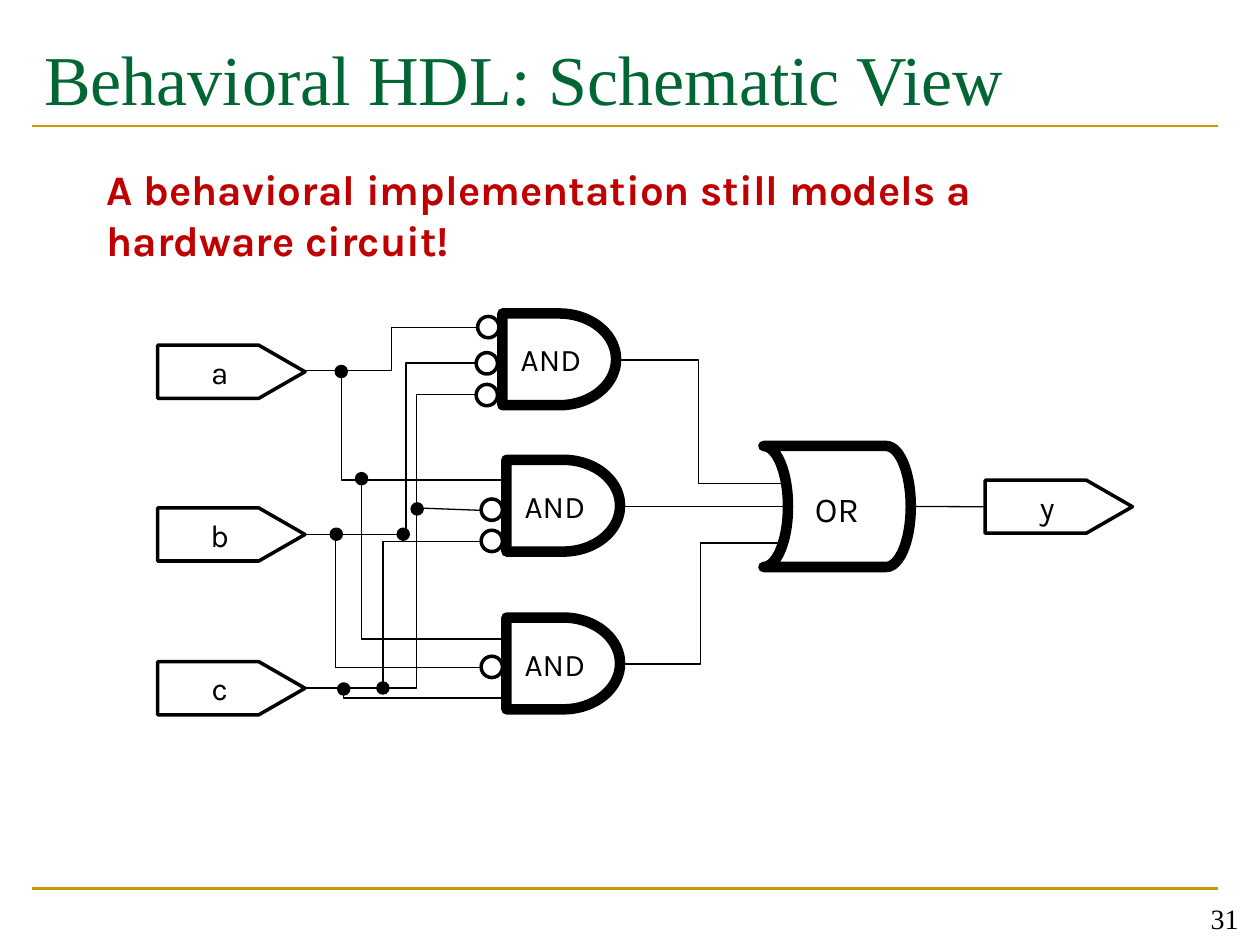
from lxml.etree import SubElement
from pptx import Presentation
from pptx.dml.color import RGBColor
from pptx.enum.shapes import MSO_CONNECTOR as Link, MSO_SHAPE as Shape
from pptx.enum.text import MSO_ANCHOR as Anchor, PP_ALIGN as Align
from pptx.oxml.ns import qn
from pptx.util import Cm, Pt

BLACK, WHITE, GOLD, GREEN, RED = "000000", "FFFFFF", "CC9900", "006633", "C00000"
SERIF, SANS = "Times New Roman", "Karla"


def colour(value):
    return RGBColor.from_string(value)


class Schematic:
    """Holds the drawing style and the current slide."""

    def __init__(self, page):
        self.page = page
        self.shapes = page.shapes

    def set_text(self, frame, words, size, font=SANS, ink=BLACK, bold=False, align=Align.LEFT):
        para = frame.paragraphs[0]
        para.text = words
        para.alignment = align
        para.font.name, para.font.size, para.font.bold = font, Pt(size), bold
        para.font.color.rgb = colour(ink)

    def text(self, left, top, width, height, words, size, anchor=Anchor.TOP, **style):
        box = self.shapes.add_textbox(Cm(left), Cm(top), Cm(width), Cm(height))
        box.text_frame.word_wrap = True
        box.text_frame.vertical_anchor = anchor
        self.set_text(box.text_frame, words, size, **style)
        return box

    def shape(self, kind, left, top, width, height, weight=2, fill=WHITE, label=None):
        shape = self.shapes.add_shape(kind, Cm(left), Cm(top), Cm(width), Cm(height))
        shape.shadow.inherit = False
        shape.fill.solid()
        shape.fill.fore_color.rgb = colour(fill)
        shape.line.color.rgb = colour(BLACK)
        shape.line.width = Pt(weight)
        if label:
            shape.text_frame.word_wrap = False
            shape.text_frame.vertical_anchor = Anchor.MIDDLE
            self.set_text(shape.text_frame, label, 18, align=Align.CENTER)
        return shape

    def and_gate(self, left, top):
        return self.shape(Shape.FLOWCHART_DELAY, left, top, 2.29, 1.85, 6, label="AND")

    def or_gate(self, left, top):
        body = self.shape(Shape.FLOWCHART_STORED_DATA, left, top, 2.97, 2.44, 6)
        body.rotation = 180
        label = self.text(left + 0.79, top + 0.71, 1.9, 1.12, "OR", 20)
        return self.shapes.add_group_shape([body, label])

    def port(self, left, top, name):
        port = self.shape(Shape.PENTAGON, left, top, 2.97, 1.07, label=name)
        port.adjustments[0] = 0.87
        return port

    def bubble(self, left, top):
        return self.shape(Shape.OVAL, left, top, 0.43, 0.43)

    def dot(self, left, top):
        return self.shape(Shape.OVAL, left, top, 0.2, 0.2, fill=BLACK)

    def line(self, x1, y1, x2, y2, ink=BLACK, weight=0.75, kind=Link.STRAIGHT):
        line = self.shapes.add_connector(kind, Cm(x1), Cm(y1), Cm(x2), Cm(y2))
        line.line.color.rgb = colour(ink)
        line.line.width = Pt(weight)
        SubElement(line._element.spPr, qn("a:effectLst"))
        return line

    def wire(self, x1, y1, x2, y2, bend=0.5):
        """Draw an elbow wire that turns at the given share of its width."""
        wire = self.line(x1, y1, x2, y2, kind=Link.ELBOW)
        guides = wire._element.spPr.find(qn("a:prstGeom")).get_or_add_avLst()
        SubElement(guides, qn("a:gd"), name="adj1", fmla=f"val {round(bend * 100000)}")
        return wire


def main():
    deck = Presentation()
    deck.slide_width, deck.slide_height = Cm(25.4), Cm(19.05)
    art = Schematic(deck.slides.add_slide(deck.slide_layouts[6]))

    for y in (17.91, 2.54):
        art.line(0.64, y, 24.56, y, GOLD, 1.5)
    title = art.text(0.64, 0.43, 23.93, 2.46, "Behavioral HDL: Schematic View", 40,
                     font=SERIF, ink=GREEN)
    title.text_frame.margin_top = Cm(0.29)
    art.text(19.3, 17.7, 5.92, 1.27, "31", 16, Anchor.BOTTOM, font=SERIF, align=Align.RIGHT)
    art.text(1.9, 3.18, 20.32, 2.31,
             "A behavioral implementation still models a hardware circuit!", 24,
             ink=RED, bold=True)

    for top, name in ((6.96, "a"), (10.24, "b"), (13.34, "c")):
        art.port(3.18, top, name)
    output = art.port(19.86, 9.68, "y")
    for left, top in ((10.13, 6.32), (10.21, 9.27), (10.21, 12.45)):
        art.and_gate(left, top)
    for left, top in ((9.63, 6.38), (9.6, 7.11), (9.6, 7.75),
                      (9.7, 10.06), (9.7, 10.69), (9.7, 13.23)):
        art.bubble(left, top)

    input_wires = (
        (6.15, 7.47, 9.63, 6.6, 0.5),
        (6.15, 10.77, 9.6, 7.32, 0.59),
        (6.15, 13.87, 9.6, 7.95, 0.65),
        (6.86, 7.47, 10.13, 9.68, 0.01),
        (7.72, 13.77, 9.7, 10.92, 0),
        (7.29, 9.68, 10.13, 12.88, 0),
        (6.73, 10.77, 9.7, 13.46, 0.01),
        (6.93, 13.87, 10.11, 14.07, 0),
    )
    for wire in input_wires:
        art.wire(*wire)
    art.line(9.73, 10.29, 8.41, 10.24)
    for left, top in ((6.78, 7.39), (8.03, 10.67), (7.62, 13.77), (6.68, 10.67),
                      (6.83, 13.79), (7.19, 9.55), (8.31, 10.16)):
        art.dot(left, top)

    art.or_gate(15.39, 8.99)
    art.wire(12.4, 7.26, 15.75, 9.75)
    art.line(12.5, 10.21, 15.9, 10.21)
    art.wire(12.5, 13.39, 15.75, 10.95)
    art.line(18.36, 10.21, 19.86, 10.21).end_connect(output, 1)

    deck.save("out.pptx")


if __name__ == "__main__":
    main()
